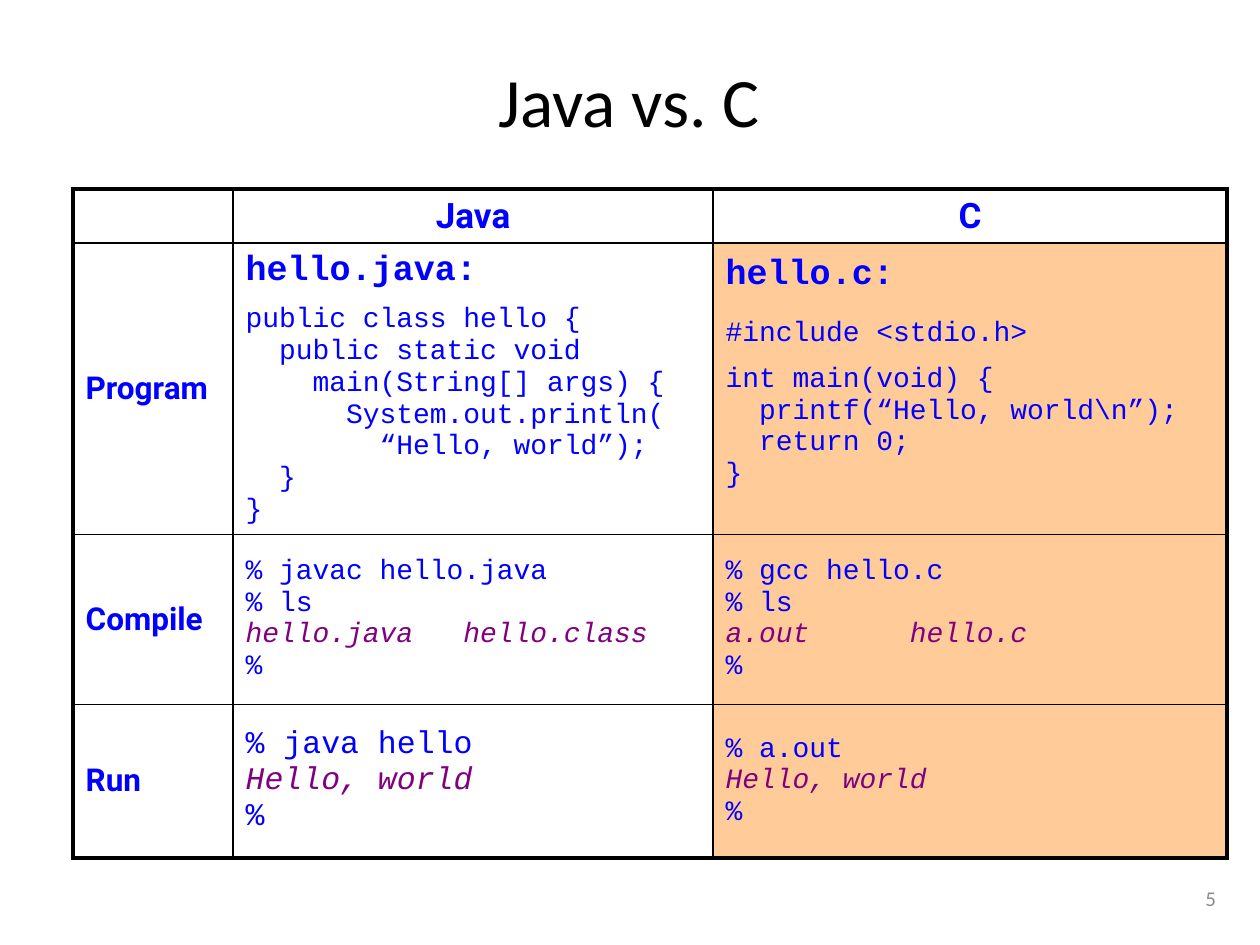
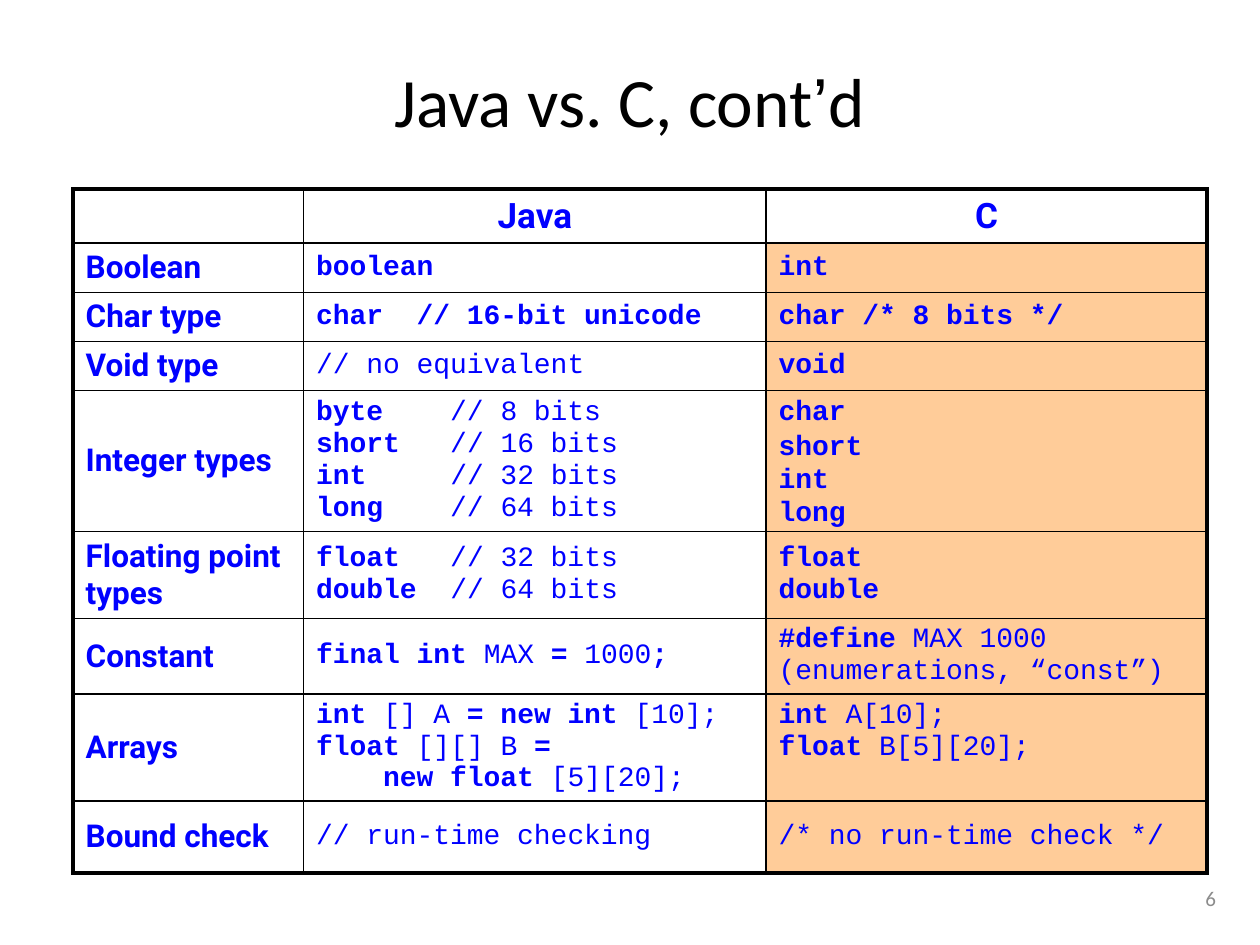
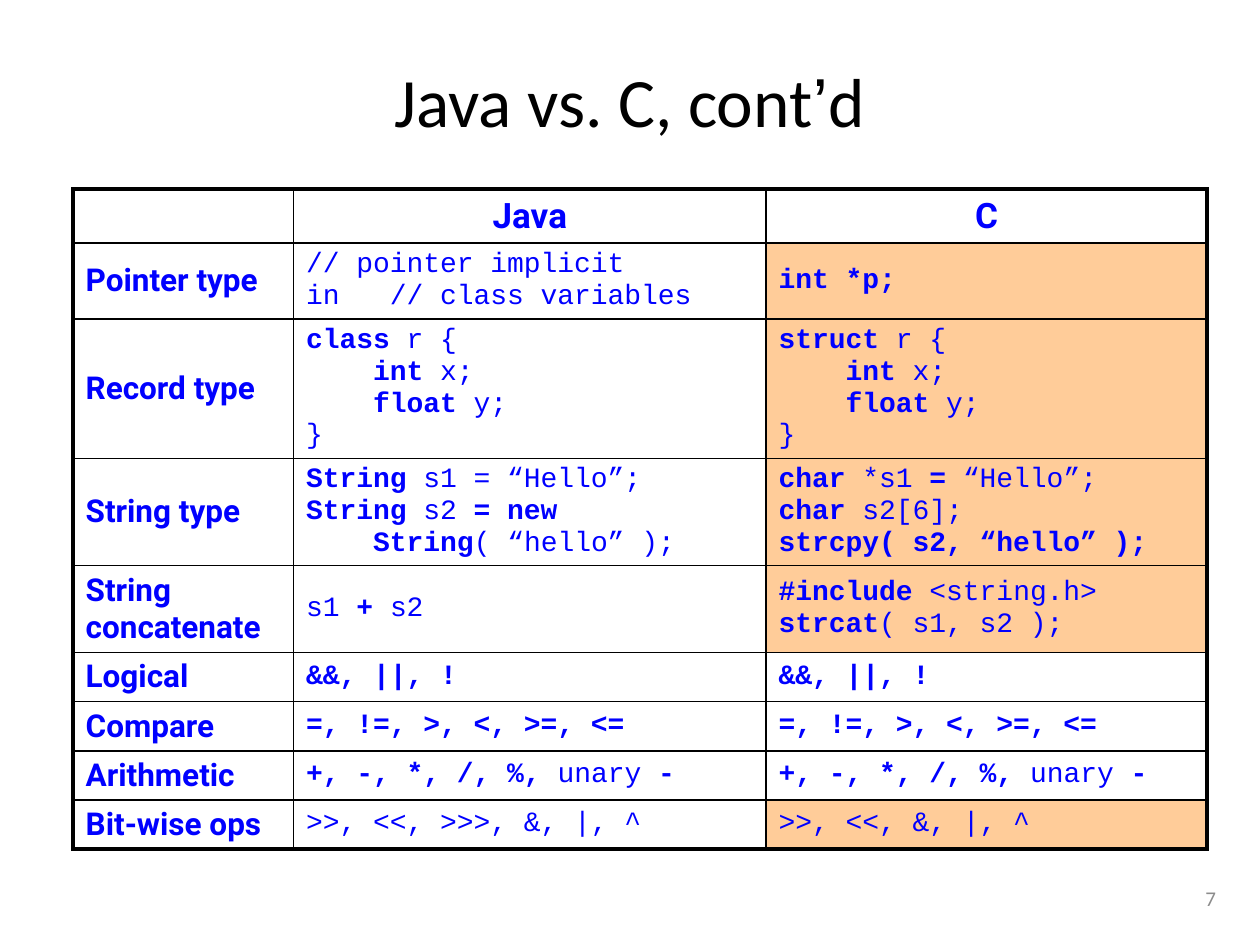
from copy import deepcopy
from dataclasses import dataclass

from lxml.etree import SubElement
from pptx import Presentation
from pptx.dml.color import RGBColor
from pptx.enum.text import MSO_ANCHOR as Anchor, PP_ALIGN as Align
from pptx.oxml.ns import qn
from pptx.util import Inches, Pt

COLORS = {"title": "000000", "number": "8C8C8C", "text": "0000FF",
          "output": "800080", "c_fill": "FFCC99", "border": "000000"}
FONTS = {"body": "Calibri", "quote": "Arial", "label": "Roboto", "code": "Courier New"}
TITLE_BOX = (0.33, 0.42, 9.33, 0.75)
NUMBER_BOX = (8.75, 6.92, 1, 0.42)
TABLE_CORNER = (0.58, 1.5)
HEADER_HEIGHT = 0.43
CODE_SIZE, LABEL_SIZE, HEADING_SIZE = 16, 18, 20
OUTER_BORDER, INNER_BORDER = 2.25, 1
PARAGRAPH_GAP = 8


@dataclass
class Block:
    """One paragraph of code, with `bold` and ~program output~ marked."""
    text: str
    size: float = CODE_SIZE
    spacing: float = 1


@dataclass
class Row:
    """One row of the comparison; each side is a string or a list of blocks."""
    height: float
    label: str
    java: object
    c: object
    c_filled: bool = True
    c_lift: float = 0


def format_run(run, font, size, color, **flags):
    """Give a run its font, size, colour and any bold or italic flags."""
    values = {"name": font, "size": Pt(size), **flags}
    for name, value in values.items():
        setattr(run.font, name, value)
    run.font.color.rgb = RGBColor.from_string(COLORS[color])


def add_marked_text(paragraph, text, font, size):
    """Write marked text as runs, with formatted line breaks."""
    run = None
    for bold_index, part in enumerate(text.split("`")):
        for output_index, piece in enumerate(part.split("~")):
            is_output = output_index % 2 == 1
            for line_index, line in enumerate(piece.split("\n")):
                if line_index:
                    paragraph.add_line_break()
                    paragraph._p[-1].append(deepcopy(run._r.rPr))
                if line:
                    run = paragraph.add_run()
                    run.text = line
                    format_run(run, font, size, "output" if is_output else "text",
                               bold=bold_index % 2 == 1, italic=is_output)


def add_text_box(slide, box, pieces, size, color, align):
    """Place one line of (text, font) pieces, centred vertically in a box."""
    frame = slide.shapes.add_textbox(*map(Inches, box)).text_frame
    frame.word_wrap = True
    frame.vertical_anchor = Anchor.MIDDLE
    paragraph = frame.paragraphs[0]
    paragraph.alignment = align
    for text, font in pieces:
        if text:
            run = paragraph.add_run()
            run.text = text
            format_run(run, FONTS[font], size, color)


def set_borders(cell, widths):
    """Draw the left, right, top and bottom borders of a cell."""
    properties = cell._tc.get_or_add_tcPr()
    for side, width in zip("LRTB", widths):
        line = SubElement(properties, qn(f"a:ln{side}"), w=str(Pt(width)))
        fill = SubElement(line, qn("a:solidFill"))
        SubElement(fill, qn("a:srgbClr"), val=COLORS["border"])


def fill_cell(cell, blocks, font, align=Align.LEFT, filled=False, lift=0):
    """Write blocks into a cell and set its fill, anchor and bottom margin."""
    values = {"vertical_anchor": Anchor.MIDDLE, "margin_top": Inches(0),
              "margin_bottom": Inches(lift)}
    for name, value in values.items():
        setattr(cell, name, value)
    if filled:
        cell.fill.solid()
        cell.fill.fore_color.rgb = RGBColor.from_string(COLORS["c_fill"])
    else:
        cell.fill.background()
    frame = cell.text_frame
    for index, block in enumerate(blocks):
        paragraph = frame.add_paragraph() if index else frame.paragraphs[0]
        paragraph.alignment = align
        if index:
            paragraph.space_before = Pt(PARAGRAPH_GAP)
        if block.spacing != 1:
            paragraph.line_spacing = block.spacing
        add_marked_text(paragraph, block.text, FONTS[font], block.size)


def as_blocks(content):
    """Turn a plain string into a list with one block."""
    return [Block(content)] if isinstance(content, str) else content


def add_comparison_table(slide, corner, widths, rows):
    """Build the table that sets Java beside C."""
    heights = [HEADER_HEIGHT] + [row.height for row in rows]
    box = (*corner, sum(widths), sum(heights))
    table = slide.shapes.add_table(len(heights), len(widths), *map(Inches, box)).table
    table.first_row = table.horz_banding = False
    for column, width in zip(table.columns, widths):
        column.width = Inches(width)
    for table_row, height in zip(table.rows, heights):
        table_row.height = Inches(height)

    last_row, last_column = len(heights) - 1, len(widths) - 1
    for r in range(len(heights)):
        for c in range(len(widths)):
            edges = (c == 0, c == last_column, r == 0, r == last_row)
            set_borders(table.cell(r, c),
                        [OUTER_BORDER if edge else INNER_BORDER for edge in edges])

    for c, heading in enumerate(("", "Java", "C")):
        blocks = [Block(f"`{heading}`", HEADING_SIZE)]
        fill_cell(table.cell(0, c), blocks, "label", Align.CENTER)
    for r, row in enumerate(rows, 1):
        fill_cell(table.cell(r, 0), [Block(f"`{row.label}`", LABEL_SIZE)], "label")
        fill_cell(table.cell(r, 1), as_blocks(row.java), "code")
        fill_cell(table.cell(r, 2), as_blocks(row.c), "code",
                  filled=row.c_filled, lift=row.c_lift)


def add_comparison_slide(presentation, number, title, widths, rows):
    """Add a slide with its number, title and comparison table."""
    slide = presentation.slides.add_slide(presentation.slide_layouts[6])
    add_text_box(slide, NUMBER_BOX, [(str(number), "body")], 12, "number", Align.RIGHT)
    pieces = zip(title.partition("’"), ("body", "quote", "body"))
    add_text_box(slide, TITLE_BOX, pieces, 39.6, "title", Align.CENTER)
    add_comparison_table(slide, TABLE_CORNER, widths, rows)


PROGRAM_ROWS = [
    Row(2.29, "Program",
        [Block("`hello.java:`", HEADING_SIZE),
         Block("public class hello {\n  public static void\n    main(String[] args) {\n"
               "      System.out.println(\n        “Hello, world”);\n  }\n}")],
        [Block("`hello.c:`", HEADING_SIZE),
         Block("#include <stdio.h>", spacing=1.3),
         Block("int main(void) {\n  printf(“Hello, world\\n”);\n  return 0;\n}")],
        c_lift=0.25),
    Row(1.35, "Compile",
        "% javac hello.java\n% ls\n~hello.java   hello.class~\n%",
        "% gcc hello.c\n% ls\n~a.out      hello.c~\n%"),
    Row(1.22, "Run",
        [Block("% java hello\n~Hello, world~\n%", LABEL_SIZE)],
        "% a.out\n~Hello, world~\n%"),
]

TYPE_ROWS = [
    Row(0.39, "Boolean", "`boolean`", "`int`"),
    Row(0.39, "Char type", "`char  // 16-bit unicode`", "`char /* 8 bits */`"),
    Row(0.39, "Void type", "// no equivalent", "`void`"),
    Row(1.12, "Integer types",
        "`byte`    // 8 bits\n`short`   // 16 bits\n"
        "`int`     // 32 bits\n`long`    // 64 bits",
        [Block("`char`", spacing=0.9)]
        + [Block(f"`{name}`", spacing=0.6) for name in ("short", "int", "long")]),
    Row(0.69, "Floating point types",
        "`float`   // 32 bits\n`double`  // 64 bits", "`float\ndouble`"),
    Row(0.6, "Constant", "`final int `MAX `=` 1000`;`",
        "`#define` MAX 1000\n(enumerations, “const”)"),
    Row(0.85, "Arrays",
        "`int `[] A` = new int `[10];\n`float `[][] B` =\n    new float `[5][20];",
        "`int `A[10];\n`float` B[5][20];", c_lift=0.25),
    Row(0.57, "Bound check", "// run-time checking", "/* no run-time check */"),
]

RECORD_BODY = "r {\n    `int` x;\n    `float` y;\n}"
LOGICAL = "`&&, ||, !`"
COMPARE = "`=, !=, >, <, >=, <=`"
ARITHMETIC = "`+, -, *, /, %, `unary` -`"
OPERATOR_ROWS = [
    Row(0.6, "Pointer type", "// pointer implicit\nin   // class variables", "`int *p;`"),
    Row(1.11, "Record type", "`class `" + RECORD_BODY, "`struct `" + RECORD_BODY),
    Row(0.85, "String type",
        "`String` s1 = “Hello”;\n`String` s2 `= new\n    String`( “hello” );",
        "`char` *s1 `= `“Hello”;\n`char` s2[6];\n`strcpy( s2, “hello” );`"),
    Row(0.69, "String concatenate", "s1` + `s2",
        "`#include` <string.h>\n`strcat`( s1, s2 );"),
    Row(0.39, "Logical", LOGICAL, LOGICAL, c_filled=False),
    Row(0.39, "Compare", COMPARE, COMPARE, c_filled=False),
    Row(0.39, "Arithmetic", ARITHMETIC, ARITHMETIC, c_filled=False),
    Row(0.39, "Bit-wise ops", ">>, <<, >>>, &, |, ^", ">>, <<, &, |, ^"),
]

SLIDES = [
    ("Java vs. C", (1.27, 3.81, 4.08), PROGRAM_ROWS),
    ("Java vs. C, cont’d", (1.83, 3.67, 3.5), TYPE_ROWS),
    ("Java vs. C, cont’d", (1.75, 3.75, 3.5), OPERATOR_ROWS),
]

presentation = Presentation()
presentation.slide_width, presentation.slide_height = Inches(10), Inches(7.5)
for slide_number, (slide_title, column_widths, table_rows) in enumerate(SLIDES, 5):
    add_comparison_slide(presentation, slide_number, slide_title, column_widths, table_rows)
presentation.save("out.pptx")
